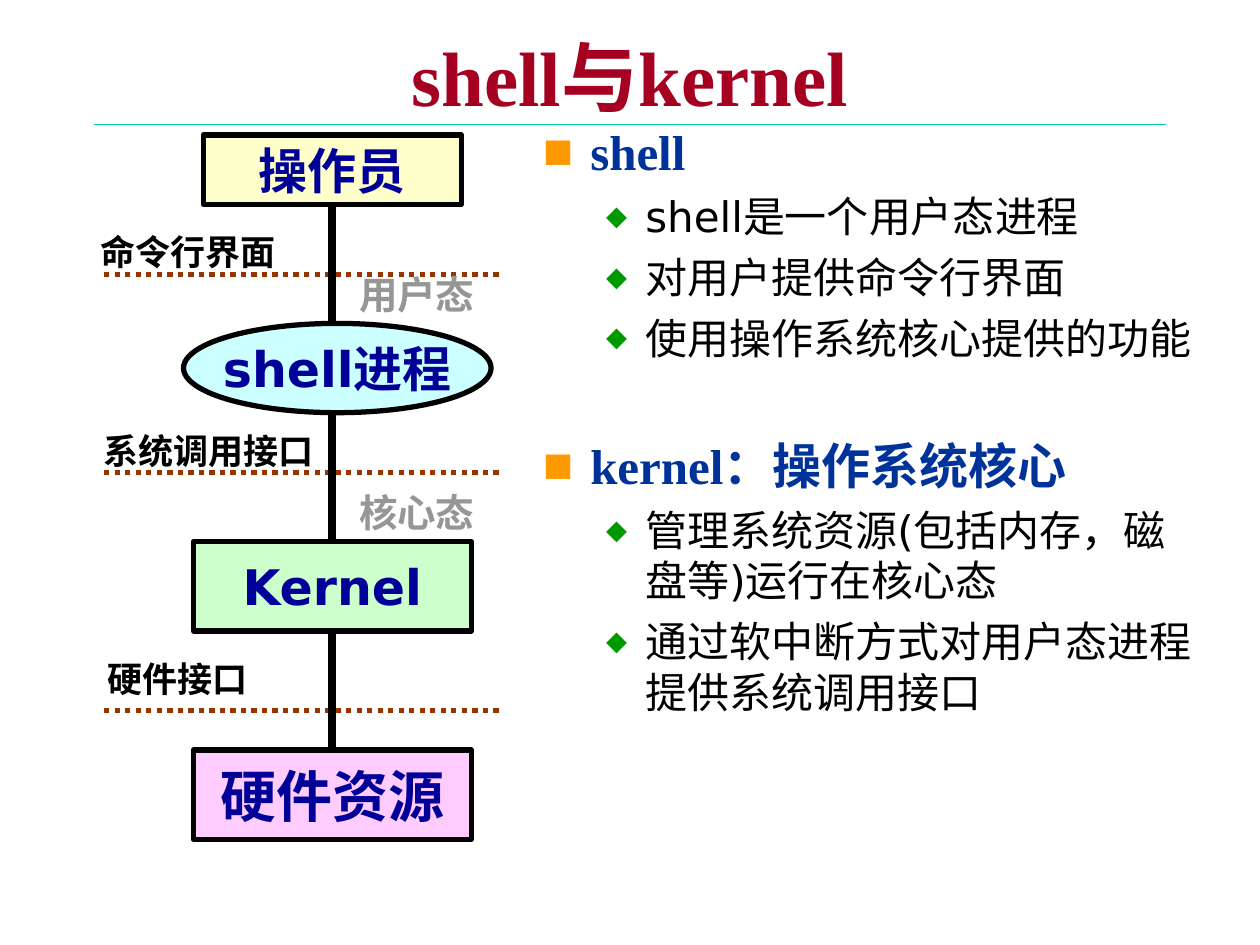
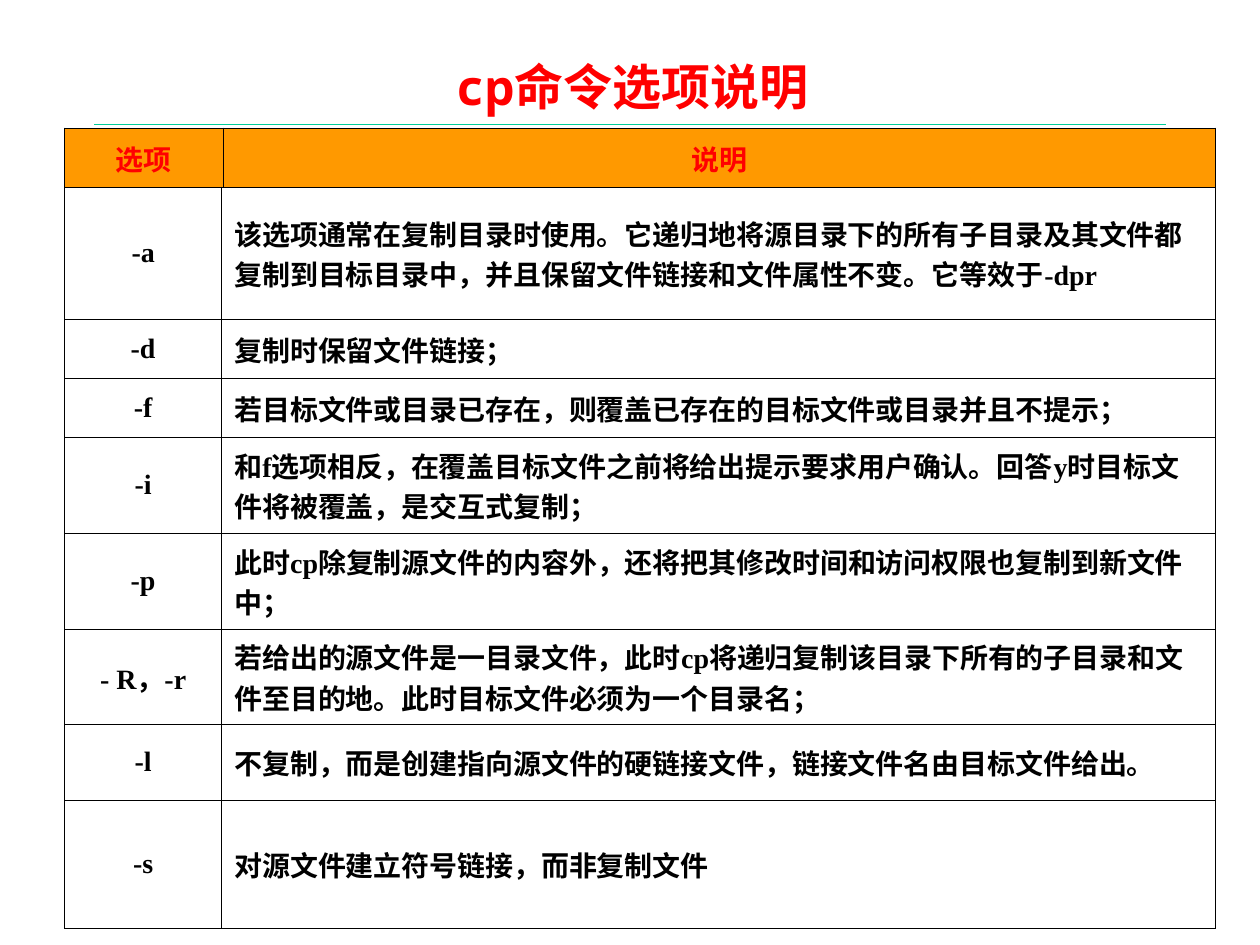
from dataclasses import dataclass
from itertools import pairwise

from lxml import etree
from pptx import Presentation
from pptx.dml.color import RGBColor
from pptx.enum.dml import MSO_LINE
from pptx.enum.shapes import MSO_CONNECTOR, MSO_SHAPE
from pptx.enum.text import MSO_ANCHOR, MSO_AUTO_SIZE, PP_ALIGN
from pptx.oxml.ns import qn
from pptx.util import Cm, Pt


@dataclass(frozen=True)
class Theme:
    serif: str = "Times New Roman"
    sans: str = "DejaVu Sans"
    mono: str = "Noto Sans Mono"
    cjk: str = "Noto Sans CJK SC"
    black: str = "000000"
    crimson: str = "A50021"
    red: str = "FF0000"
    rule: str = "00CC99"
    heading: str = "003399"
    node_text: str = "000099"
    boundary: str = "993300"
    state: str = "969696"
    square: str = "FF9900"
    diamond: str = "009900"
    header: str = "FF9900"
    title_size: float = 44
    large_size: float = 32
    head_size: float = 28
    item_size: float = 24
    state_size: float = 22
    label_size: float = 20
    cell_size: float = 16


T = Theme()

NODES = [
    ("操作员", MSO_SHAPE.RECTANGLE, 0, 0, 5.2, 1.4, "FFFFCC", T.head_size),
    ("shell进程", MSO_SHAPE.OVAL, 0.1, 3.8, 6.2, 1.8, "CCFFFF", T.head_size),
    ("Kernel", MSO_SHAPE.RECTANGLE, 0, 8.2, 5.6, 1.8, "CCFFCC", T.head_size),
    ("硬件资源", MSO_SHAPE.RECTANGLE, 0, 12.4, 5.6, 1.8, "FFCCFF", T.large_size),
]
BOUNDARIES = [2.82, 6.81, 11.61]
INTERFACES = [
    ("命令行界面", 0, 1.8, 4.6),
    ("系统调用接口", 0.2, 5.81, 5),
    ("硬件接口", 0.4, 10.41, 3.36),
]
STATES = [("用户态", 4.6, 2.65, 4.6), ("核心态", 4.6, 7.05, 4.6)]

TOPICS = [
    ("shell", 7, ["shell是一个用户态进程", "对用户提供命令行界面", "使用操作系统核心提供的功能"]),
    ("kernel：操作系统核心", 47, [
        "管理系统资源(包括内存，磁盘等)运行在核心态",
        "通过软中断方式对用户态进程提供系统调用接口",
    ]),
]

OPTIONS = [
    ("-a", "该选项通常在复制目录时使用。它递归地将源目录下的所有子目录及其文件都"
           "复制到目标目录中，并且保留文件链接和文件属性不变。它等效于-dpr"),
    ("-d", "复制时保留文件链接；"),
    ("-f", "若目标文件或目录已存在，则覆盖已存在的目标文件或目录并且不提示；"),
    ("-i", "和f选项相反，在覆盖目标文件之前将给出提示要求用户确认。"
           "回答y时目标文件将被覆盖，是交互式复制；"),
    ("-p", "此时cp除复制源文件的内容外，还将把其修改时间和访问权限也复制到新文件中；"),
    ("- R，-r", "若给出的源文件是一目录文件，此时cp将递归复制该目录下所有的子目录和"
               "文件至目的地。此时目标文件必须为一个目录名；"),
    ("-l", "不复制，而是创建指向源文件的硬链接文件，链接文件名由目标文件给出。"),
    ("-s", "对源文件建立符号链接，而非复制文件"),
]
OPTION_HEIGHTS = [2.67, 1.19, 1.19, 1.93, 1.93, 1.93, 1.52, 2.59]


def rgb(color):
    return RGBColor.from_string(color)


def write(p, text, *, size, font=T.sans, color=T.black, bold=True, align=None):
    if align is not None:
        p.alignment = align
    r = p.add_run()
    r.text = text
    r.font.size = Pt(size)
    r.font.name = font
    r.font.bold = bold
    r.font.color.rgb = rgb(color)
    etree.SubElement(r.font._element, qn("a:ea"), typeface=T.cjk)


def set_frame(tf, anchor, wrap):
    tf.auto_size = MSO_AUTO_SIZE.NONE
    tf.vertical_anchor = anchor
    tf.word_wrap = wrap
    tf.margin_left = tf.margin_right = Cm(0.25)
    tf.margin_top = tf.margin_bottom = Cm(0.13)


def add_line(s, x1, y1, x2, y2, color, width, dash=None):
    line = s.shapes.add_connector(MSO_CONNECTOR.STRAIGHT, Cm(x1), Cm(y1), Cm(x2), Cm(y2))
    line.line.color.rgb = rgb(color)
    line.line.width = Pt(width)
    if dash is not None:
        line.line.dash_style = dash
    etree.SubElement(line._element.spPr, qn("a:effectLst"))


def add_label(s, text, left, top, width, height, **fmt):
    sp = s.shapes.add_textbox(Cm(left), Cm(top), Cm(width), Cm(height))
    set_frame(sp.text_frame, MSO_ANCHOR.MIDDLE, False)
    write(sp.text_frame.paragraphs[0], text, align=PP_ALIGN.CENTER, **fmt)


def add_node(s, text, shape, left, top, width, height, fill, size):
    sp = s.shapes.add_shape(shape, Cm(left), Cm(top), Cm(width), Cm(height))
    sp.shadow.inherit = False
    sp.fill.solid()
    sp.fill.fore_color.rgb = rgb(fill)
    sp.line.color.rgb = rgb(T.black)
    sp.line.width = Pt(3)
    set_frame(sp.text_frame, MSO_ANCHOR.MIDDLE, False)
    write(sp.text_frame.paragraphs[0], text, size=size, color=T.node_text, align=PP_ALIGN.CENTER)


def add_titled_slide(prs, box, runs, align, spacing=1.0):
    s = prs.slides.add_slide(prs.slide_layouts[5])
    add_line(s, 1.9, 2.51, 23.5, 2.51, T.rule, 0.75)
    title = s.shapes.title
    title.left, title.top, title.width, title.height = map(Cm, box)
    set_frame(title.text_frame, MSO_ANCHOR.MIDDLE, True)
    p = title.text_frame.paragraphs[0]
    p.line_spacing = spacing
    for text, fmt in runs:
        write(p, text, align=align, **fmt)
    return s


def add_layers(s, left, top):
    spine = left + 5.2
    for y in BOUNDARIES:
        add_line(s, left + 0.6, top + y, left + 8.6, top + y, T.boundary, 3, MSO_LINE.ROUND_DOT)
    for upper, lower in pairwise(NODES):
        add_line(s, spine, top + upper[3] + upper[5], spine, top + lower[3], T.black, 4.5)
    for text, shape, shift, y, width, height, fill, size in NODES:
        add_node(s, text, shape, spine + shift - width / 2, top + y, width, height, fill, size)
    for labels, size, color in (
        (INTERFACES, T.label_size, T.black),
        (STATES, T.state_size, T.state),
    ):
        for text, x, y, width in labels:
            add_label(s, text, left + x, top + y, width, 1.1, size=size, font=T.cjk, color=color)


def set_bullet(p, char, color, margin, indent):
    pPr = p._p.get_or_add_pPr()
    pPr.set("marL", str(Cm(margin)))
    pPr.set("indent", str(-Cm(indent)))
    clr = etree.SubElement(pPr, qn("a:buClr"))
    etree.SubElement(clr, qn("a:srgbClr"), val=color)
    etree.SubElement(pPr, qn("a:buSzPct"), val="65000")
    etree.SubElement(pPr, qn("a:buFont"), typeface=T.sans)
    etree.SubElement(pPr, qn("a:buChar"), char=char)


def add_topics(s, left, top, width, height):
    tf = s.shapes.add_textbox(Cm(left), Cm(top), Cm(width), Cm(height)).text_frame
    set_frame(tf, MSO_ANCHOR.TOP, True)
    p = tf.paragraphs[0]
    for heading, gap, items in TOPICS:
        if p.runs:
            p = tf.add_paragraph()
        p.space_before, p.line_spacing = Pt(gap), Pt(28)
        set_bullet(p, "■", T.square, 0.95, 0.95)
        write(p, heading, size=T.head_size, font=T.serif, color=T.heading)
        for item in items:
            p = tf.add_paragraph()
            p.level = 1
            p.space_before, p.line_spacing = Pt(6), Pt(28.8)
            set_bullet(p, "◆", T.diamond, 2.06, 0.79)
            write(p, item, size=T.item_size, bold=False)


def set_border(cell, index, side, width):
    ln = etree.Element(qn(f"a:{side}"), w=str(Pt(width)))
    fill = etree.SubElement(ln, qn("a:solidFill"))
    etree.SubElement(fill, qn("a:srgbClr"), val=T.black)
    cell._tc.get_or_add_tcPr().insert(index, ln)


def add_grid(s, left, top, widths, heights, rows, *, heavy, aligns, color=T.black, fill=None):
    frame = s.shapes.add_table(len(rows), len(widths), Cm(left), Cm(top),
                               Cm(sum(widths)), Cm(sum(heights)))
    table = frame.table
    table.first_row = table.horz_banding = False
    for column, width in zip(table.columns, widths):
        column.width = Cm(width)
    for i, (height, texts) in enumerate(zip(heights, rows)):
        table.rows[i].height = Cm(height)
        edges = {"lnT": i == 0, "lnB": i == len(rows) - 1}
        for j, text in enumerate(texts):
            cell = table.cell(i, j)
            cell.vertical_anchor = MSO_ANCHOR.MIDDLE
            if fill:
                cell.fill.solid()
                cell.fill.fore_color.rgb = rgb(fill)
            else:
                cell.fill.background()
            for k, side in enumerate(("lnL", "lnR", "lnT", "lnB")):
                set_border(cell, k, side, 0.96 if side in heavy and edges[side] else 0.45)
            write(cell.text_frame.paragraphs[0], text, size=T.cell_size, font=T.serif,
                  color=color, align=aligns[j])


def build_shell_slide(prs):
    title = [("shell与kernel", dict(size=T.title_size, font=T.serif, color=T.crimson))]
    s = add_titled_slide(prs, (1.9, 0.53, 21.6, 2), title, PP_ALIGN.CENTER)
    add_topics(s, 10.7, 2.51, 13.8, 13.8)
    add_layers(s, 1.5, 2.72)


def build_cp_slide(prs):
    title = [
        ("cp", dict(size=T.head_size, font=T.mono, color=T.red)),
        ("命令选项说明", dict(size=T.head_size, font=T.cjk, color=T.red)),
    ]
    s = add_titled_slide(prs, (8.94, 1.19, 8.1, 1.27), title, PP_ALIGN.LEFT, 0.85)
    add_grid(s, 1.3, 2.59, (3.2, 20), (1.19,), [("选项", "说明")], heavy=("lnT", "lnB"),
             aligns=(PP_ALIGN.CENTER, PP_ALIGN.CENTER), color=T.red, fill=T.header)
    add_grid(s, 1.3, 3.77, (3.17, 20.03), OPTION_HEIGHTS, OPTIONS, heavy=("lnB",),
             aligns=(PP_ALIGN.CENTER, PP_ALIGN.LEFT))


def main():
    prs = Presentation()
    prs.slide_width, prs.slide_height = Cm(25.4), Cm(19.05)
    build_shell_slide(prs)
    build_cp_slide(prs)
    prs.save("out.pptx")


if __name__ == "__main__":
    main()
